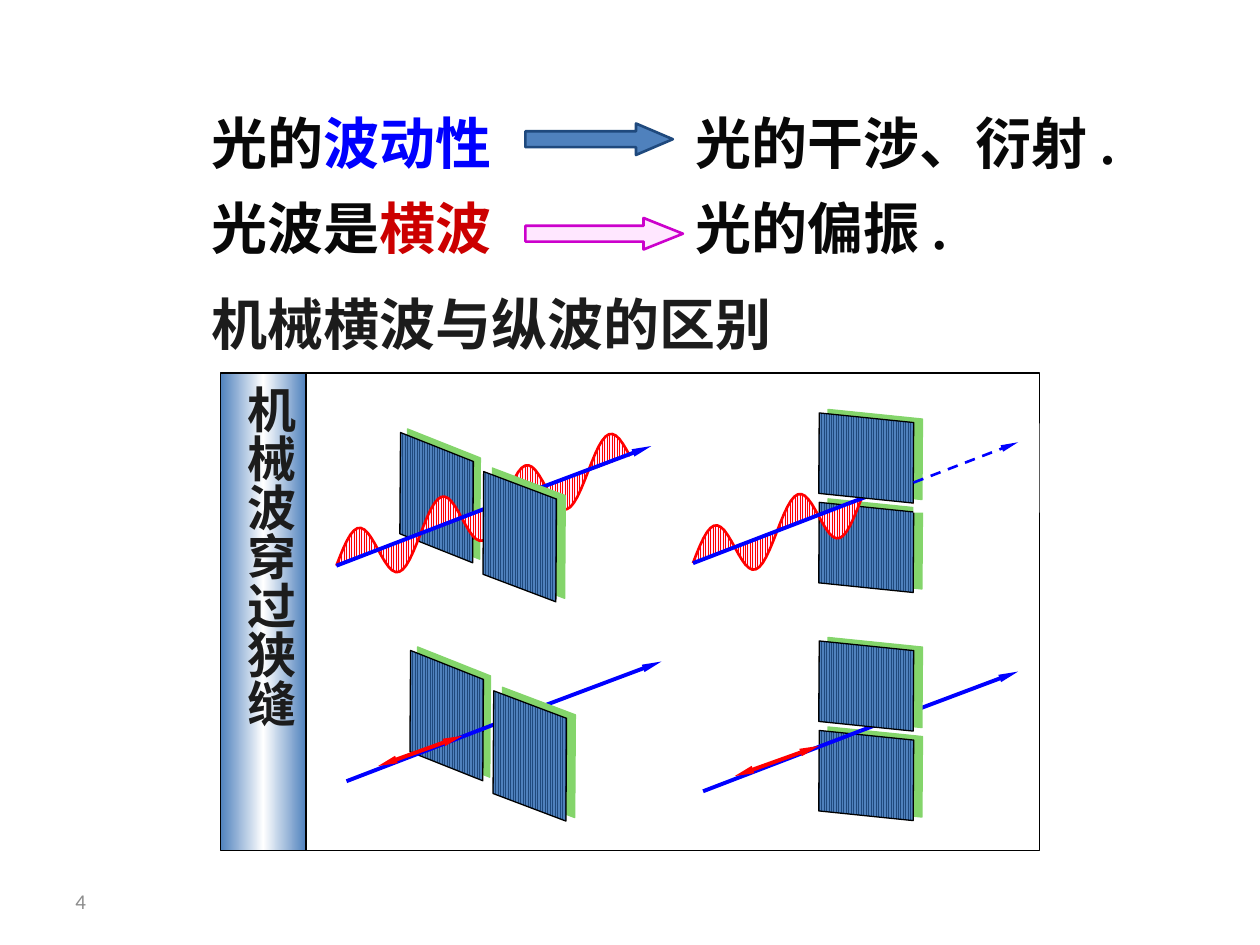
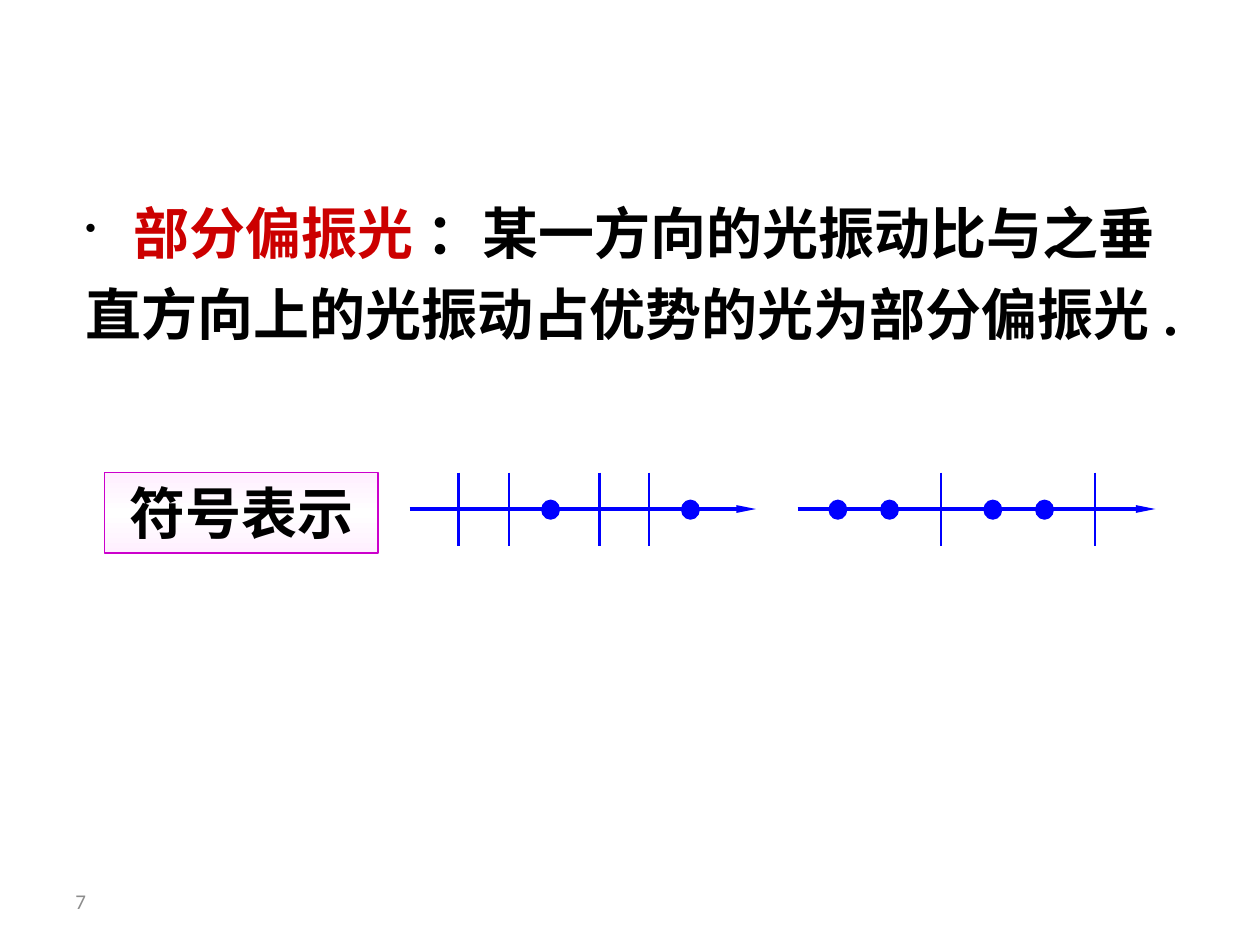
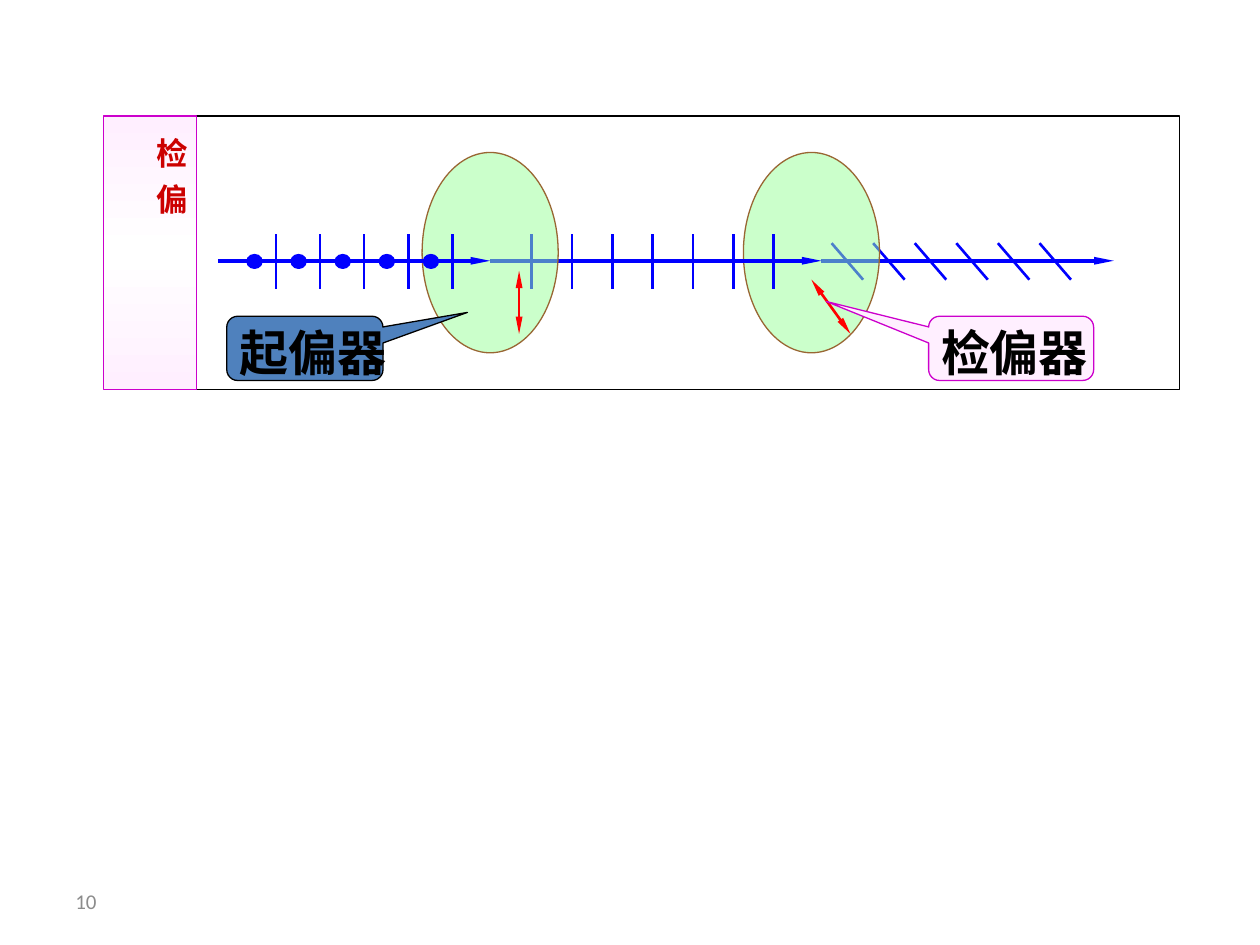
import math
from lxml import etree
from pptx import Presentation, util as u
from pptx.dml.color import RGBColor
from pptx.enum import dml, shapes, text
from pptx.oxml.ns import qn

BLACK = RGBColor(0, 0, 0)
INK = RGBColor(0x08, 0x08, 0x08)
DARK = RGBColor(0x1C, 0x1C, 0x1C)
GREY = RGBColor(0x8C, 0x8C, 0x8C)
WHITE = RGBColor(0xFF, 0xFF, 0xFF)
BLUE = RGBColor(0, 0, 0xFF)
STEEL = RGBColor(0x4F, 0x81, 0xBD)
NAVY = RGBColor(0x1F, 0x49, 0x7D)
RED = RGBColor(0xFF, 0, 0)
BRICK = RGBColor(0xCC, 0, 0)
PLUM = RGBColor(0xCC, 0, 0xCC)
PINK = RGBColor(0xFF, 0xEF, 0xFF)
ROSE = RGBColor(0xFF, 0xE7, 0xFF)
BLUSH = RGBColor(0xFF, 0xEB, 0xFF)
LEAF = RGBColor(0x84, 0xD5, 0x6B)
MINT = RGBColor(0x99, 0xFF, 0x99)
BROWN = RGBColor(0x99, 0x66, 0x33)
SHAPE = shapes.MSO_SHAPE


def inch(size):
    return u.Cm(size * 2.54)


def node(host, tag, **attrs):
    return etree.SubElement(host, qn("a:" + tag), {k: str(v) for k, v in attrs.items()})


def write(frame, lines, size=32, color=BLACK, font="Times New Roman", bold=True,
          lead=None, gap=50, align=None, tab=None, dot=False, track=None):
    frame.word_wrap = True
    for i, line in enumerate(lines):
        para = frame.paragraphs[0] if i == 0 else frame.add_paragraph()
        para.alignment = align
        if lead:
            para.line_spacing = lead
        props = para._p.get_or_add_pPr()
        if gap:
            para.space_before = u.Pt(0)
            space = props.find(qn("a:spcBef"))
            space.remove(space[0])
            node(space, "spcPct", val=gap * 1000)
        if dot:
            node(props, "buChar", char="•")
        if tab:
            node(node(props, "tabLst"), "tab", pos=inch(tab), algn="l")
        for part in line:
            words, tint, points = (part + (color, size)[len(part) - 1:])
            run = para.add_run()
            run.text = words
            run.font.name = font
            run.font.size = u.Pt(points)
            run.font.bold = bold
            run.font.color.rgb = tint
            if track:
                run._r.get_or_add_rPr().set("spc", str(track))


class Deck:
    def __init__(self):
        self.show = Presentation()
        self.show.slide_width = inch(10)
        self.show.slide_height = inch(7.5)

    def page(self, number):
        self.slide = self.show.slides.add_slide(self.show.slide_layouts[6])
        self.note(0.5, 6.95, 2.33, 0.4, [[(number,)]], mid=True, size=12,
                  color=GREY, font="Calibri", bold=False, gap=None)

    def note(self, x, y, w, h, lines, mid=False, **look):
        frame = self.slide.shapes.add_textbox(*map(inch, (x, y, w, h))).text_frame
        frame.vertical_anchor = text.MSO_ANCHOR.MIDDLE if mid else text.MSO_ANCHOR.TOP
        write(frame, lines, **look)

    def style(self, item, fill, edge, width):
        item.shadow.inherit = False
        if fill is not None:
            item.fill.solid()
            item.fill.fore_color.rgb = fill
        if edge is None:
            item.line.fill.background()
        else:
            item.line.color.rgb = edge
            item.line.width = u.Pt(width)
        return item

    def form(self, kind, x, y, w, h, fill=None, edge=None, width=0.75, knobs=()):
        item = self.slide.shapes.add_shape(kind, *map(inch, (x, y, w, h)))
        for i, knob in enumerate(knobs):
            item.adjustments[i] = knob
        return self.style(item, fill, edge, width)

    def hatch(self, item, fore, back):
        item.fill.patterned()
        item.fill.pattern = dml.MSO_PATTERN.LIGHT_VERTICAL
        item.fill.fore_color.rgb = fore
        item.fill.back_color.rgb = back

    def label(self, x, y, w, h, rim, core, edge, angle, lines, tall=False, top=0.05, **look):
        item = self.form(SHAPE.RECTANGLE, x, y, w, h, None, edge)
        item.fill.gradient()
        grad = item._element.spPr.find(qn("a:gradFill"))
        stops = grad.find(qn("a:gsLst"))
        for stop in list(stops):
            stops.remove(stop)
        for place, tint in ((0, rim), (50, core), (100, rim)):
            node(node(stops, "gs", pos=place * 1000), "srgbClr", val=tint)
        grad.find(qn("a:lin")).set("ang", str(angle * 60000))
        frame = item.text_frame
        frame.vertical_anchor = text.MSO_ANCHOR.TOP
        frame.margin_top = inch(top)
        if tall:
            frame._txBody.bodyPr.set("vert", "eaVert")
        write(frame, lines, align=text.PP_ALIGN.LEFT if tall else text.PP_ALIGN.CENTER, **look)

    def line(self, x1, y1, x2, y2, color=BLUE, width=2.25, ends="", dash=False):
        item = self.slide.shapes.add_connector(
            shapes.MSO_CONNECTOR.STRAIGHT, *map(inch, (x1, y1, x2, y2)))
        item.line.color.rgb = color
        item.line.width = u.Pt(width)
        if dash:
            item.line.dash_style = dml.MSO_LINE.DASH
        for end in ends.split():
            node(item.line._ln, end + "End", type="triangle", w="sm", len="lg")
        node(item._element.spPr, "effectLst")

    def ticks(self, places, top, base, lean=0):
        for x in places:
            self.line(x, top, x + lean, base, width=1.5)

    def dots(self, places, y, w, h):
        for x in places:
            self.form(SHAPE.OVAL, x, y, w, h, BLUE, BLUE)

    def plate(self, x, y, w, h, skew, far=5.4, angle=338):
        item = self.form(SHAPE.PARALLELOGRAM, x, y, w, h, None, BLACK, knobs=[skew])
        self.hatch(item, NAVY, STEEL)
        item.rotation = 90.4
        glow = node(item._element.spPr.find(qn("a:effectLst")), "outerShdw", blurRad=0,
                    dist=u.Pt(far), dir=angle * 60000, algn="ctr", rotWithShape=0)
        node(glow, "srgbClr", val=LEAF)

    def wave(self, x, y, steps=84):
        span, rise, swing = 2.33, 0.87, 0.235
        marks = [(inch(x + span * t), inch(y - rise * t - swing * math.sin(7 * math.pi * t)))
                 for t in (i / steps for i in range(steps + 1))]
        pen = self.slide.shapes.build_freeform(*marks[0])
        pen.add_line_segments(marks[1:], close=False)
        item = self.style(pen.convert_to_shape(), None, RED, 1.5)
        self.hatch(item, RED, BLUSH)

    def ray(self, x, y):
        self.line(x + 1.25, y - 0.48, x + 2.5, y - 0.95, ends="tail")
        self.line(x, y, x + 1.25, y - 0.48)

    def swing(self, x, y):
        self.line(x, y, x + 0.67, y - 0.24, RED, ends="head tail")

    def lens(self, x):
        item = self.form(SHAPE.OVAL, x, 1.21, 1.08, 1.59, MINT, BROWN)
        tint = item._element.spPr.find(qn("a:solidFill"))[0]
        node(tint, "alpha", val=50000)

    def call(self, x, w, words, fill, edge, knobs):
        self.form(SHAPE.ROUNDED_RECTANGULAR_CALLOUT, x, 2.51, w, 0.51, fill, edge, knobs=knobs)
        self.note(x, 2.51, 1.78, 0.57, [[(words,)]], size=28)


def slits(deck):
    deck.page("4")
    deck.note(1.58, 0.89, 8, 1.29, [
        [("光的",), ("波动性", BLUE), ("\t光的干涉、衍射 .",)],
        [("光波是",), ("横波", BRICK), ("\t光的偏振 .",)]], color=INK, lead=0.85, tab=3.84)
    deck.form(SHAPE.RIGHT_ARROW, 4.17, 0.98, 1.17, 0.25, STEEL, NAVY, 1.5, [0.5, 1.17])
    deck.form(SHAPE.RIGHT_ARROW, 4.17, 1.73, 1.25, 0.25, ROSE, PLUM, 1.5, [0.5, 1.25])
    deck.note(1.58, 2.25, 5.83, 0.63, [[("机械横波与纵波的区别",)]], color=DARK)
    deck.form(SHAPE.RECTANGLE, 1.76, 2.96, 6.49, 3.79, WHITE, BLACK)

    tall, wide = (1.03, 0.58), (0.71, 0.75, 0.1)
    deck.plate(3.03, 5.39, *tall, 0.39, 4.5, 333)
    deck.plate(6.52, 3.97, *wide)
    deck.plate(2.95, 3.66, *tall, 0.39, 4.5, 333)
    deck.wave(2.67, 4.49)
    deck.ray(2.67, 4.49)
    deck.plate(3.61, 3.97, *tall, 0.37)
    deck.wave(5.5, 4.47)
    deck.ray(5.5, 4.47)
    deck.form(SHAPE.RECTANGLE, 7.25, 3.36, 1, 0.71, WHITE)
    deck.plate(6.52, 3.26, *wide)
    deck.line(7.25, 3.83, 8.08, 3.51, width=1.5, ends="tail", dash=True)
    deck.ray(2.75, 6.2)
    deck.swing(3, 6.08)
    deck.plate(3.69, 5.71, *tall, 0.37)
    deck.plate(6.52, 5.78, *wide)
    deck.ray(5.58, 6.28)
    deck.swing(5.83, 6.16)
    deck.plate(6.52, 5.07, *wide)
    deck.label(1.75, 2.96, 0.68, 3.79, STEEL, WHITE, BLACK, 0,
               [[("机械波穿过狭缝",)]], tall=True, size=28, color=DARK)


def signs(deck):
    deck.page("7")
    deck.note(0.58, 1.42, 9.08, 1.33, [[
        ("\t", BLACK, 18), ("部分偏振光", BRICK),
        (" :某一方向的光振动比与之垂直方向上的光振动占优势的光为部分偏振光 .".replace(":", "："),)]],
        lead=1.2, tab=0.38, dot=True)
    deck.label(0.83, 3.75, 2.17, 0.64, PINK, WHITE, PLUM, 90, [[("符号表示",)]])
    for start, end, bars, spots in (
            (6.33, 9.17, (7.47, 8.69), (6.58, 6.99, 7.81, 8.22)),
            (3.25, 6, (3.64, 4.04, 4.76, 5.15), (4.3, 5.41))):
        deck.line(start, 4.04, end, 4.04, ends="tail")
        deck.ticks(bars, 3.75, 4.33)
        deck.dots(spots, 3.97, 0.14, 0.15)


def check(deck):
    deck.page("10")
    deck.form(SHAPE.RECTANGLE, 0.85, 0.92, 8.51, 2.17, WHITE, BLACK)
    deck.line(6.52, 2.07, 8.84, 2.07, ends="tail")
    deck.ticks([6.6 + 0.33 * i for i in range(6)], 1.93, 2.22, lean=0.25)
    deck.lens(5.9)
    deck.line(6.75, 2.65, 6.44, 2.22, RED, 1.5, "head tail")
    deck.call(7.37, 1.31, "检偏器", PINK, PLUM, [-1.12, -0.73, 0.17])
    deck.label(0.82, 0.92, 0.74, 2.17, PINK, WHITE, PLUM, 90, [[("检 偏",)]],
               tall=True, top=0.17, size=18, color=BRICK, track=225)
    deck.line(3.89, 2.07, 6.52, 2.07, ends="tail")
    deck.ticks([4.22 + 0.32 * i for i in range(7)], 1.86, 2.29)
    deck.lens(3.35)
    deck.line(4.12, 2.65, 4.12, 2.15, RED, 1.5, "head tail")
    deck.line(1.73, 2.07, 3.89, 2.07, ends="tail")
    deck.ticks([2.19 + 0.35 * i for i in range(5)], 1.86, 2.29)
    deck.dots([1.96 + 0.35 * i for i in range(5)], 2.02, 0.12, 0.11)
    deck.call(1.8, 1.24, "起偏器", STEEL, BLACK, [1.04, -0.56, 0.17])


deck = Deck()
slits(deck)
signs(deck)
check(deck)
deck.show.save("out.pptx")
